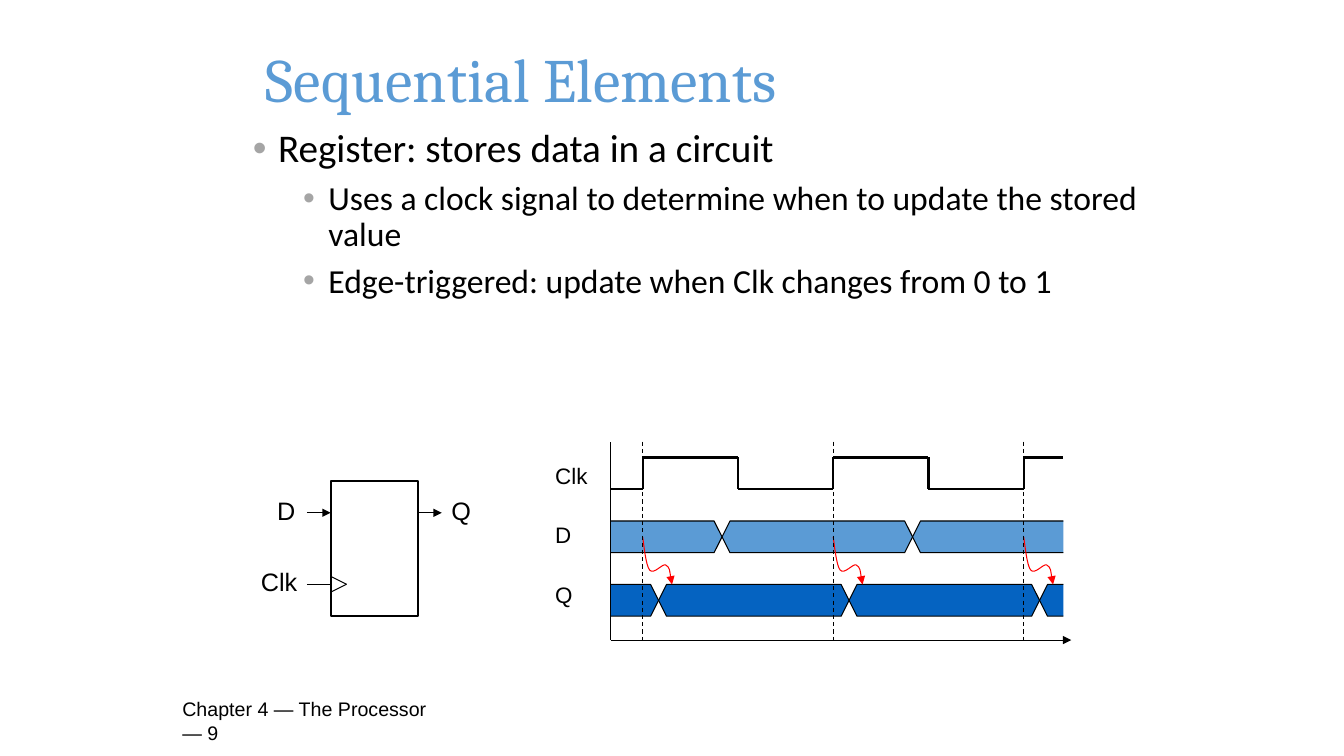
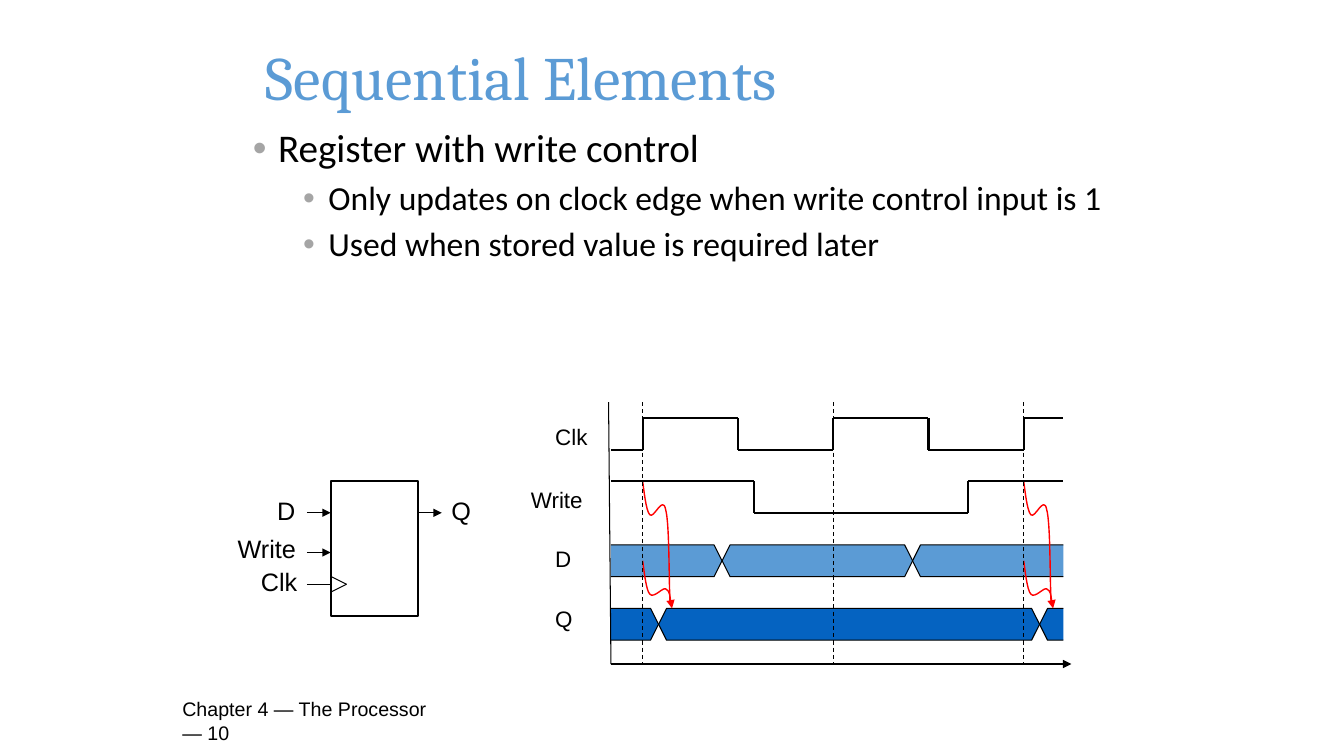
from itertools import pairwise

from lxml.etree import SubElement
from pptx import Presentation
from pptx.dml.color import RGBColor
from pptx.enum.dml import MSO_LINE
from pptx.enum.shapes import MSO_CONNECTOR, MSO_SHAPE
from pptx.enum.text import MSO_ANCHOR, MSO_AUTO_SIZE
from pptx.oxml.ns import qn
from pptx.util import Pt

rgb = RGBColor.from_string

# Shared colours and text formats
BLACK, RED, GREY = "000000", "FF0000", "A5A5A5"
LIGHT_BLUE, DARK_BLUE = "5B9BD5", "0563C1"
TITLE = {"name": "Cambria", "size": Pt(44)}
BODY = [{"name": "Calibri", "size": Pt(28)}, {"name": "Calibri", "size": Pt(24)}]
FOOTER = {"name": "Arial", "size": Pt(14)}
PIN = {"name": "Arial", "size": Pt(18)}
SIGNAL = {"name": "Arial", "size": Pt(16)}

# Drawing grid: one unit in points, with y counted upwards from each origin
U = 5.67
REG_X, REG_Y = 236.2, 440
REG_W, REG_H = 11, 17
CHART_X, END, SWING = 436.4, 57, 4
EDGES = [4, 28, 52]
CLK_TOGGLES = [4, 16, 28, 40, 52]

# Curves as Bezier offsets in grid units, with y counted downwards
BEND = [(0, 0), (0.13, 0.76), (0.4, 3.7), (0.9, 4.2)]
DATA_CURVE = BEND + [(1.4, 4.8), (2.55, 3.3), (2.9, 3.55),
                     (3.45, 3.8), (3.55, 5.45), (3.7, 6)]
WRITE_CURVE = BEND + [(1.4, 4.8), (2.55, 1.65), (2.9, 3.55),
                      (3.4, 5.3), (3.3, 12.8), (3.45, 15.2)]

# Register pins: text, left, top, width
PINS = [("D", 190.8, 350, 27.4), ("Clk", 179.3, 401, 40.3), ("Q", 315.4, 350, 28.8)]
# Signal names: text, left, height above the axis, width
NAMES = [("D", 389.5, 88.6, 26), ("Q", 389.5, 45.4, 27.4)]

SLIDES = [
    {"title_top": 3.6, "number": 9, "axis": 457.2, "top": 25, "lean": 0,
     "body": ["Register: stores data in a circuit",
              "Uses a clock signal to determine when to update the stored value",
              "Edge-triggered: update when Clk changes from 0 to 1"],
     "pins": PINS, "inputs": [13],
     "names": NAMES + [("Clk", 389.5, 130.3, 37.4)],
     "waves": [(19, False, CLK_TOGGLES)],
     "q_changes": [6, 30, 54], "curve_width": 0.75,
     "curves": [(x, 13, DATA_CURVE, True) for x in EDGES]},
    {"title_top": 2.2, "number": 10, "axis": 474.3, "top": 33, "lean": -0.3,
     "body": ["Register with write control",
              "Only updates on clock edge when write control input is 1",
              "Used when stored value is required later"],
     "pins": PINS + [("Write", 162.7, 377.3, 56.2)], "inputs": [13, 8],
     "names": NAMES + [("Clk", 389.5, 175.7, 37.4), ("Write", 372.2, 130.3, 51.8)],
     "waves": [(27, False, CLK_TOGGLES), (19, True, [18, 45])],
     "q_changes": [6, 54], "curve_width": 1,
     "curves": [(x, y, curve, arrow) for x in (EDGES[0], EDGES[-1])
                for y, curve, arrow in ((13, DATA_CURVE, True),
                                        (23, WRITE_CURVE, False))]},
]


def add_text(s, box, lines, formats, color=BLACK, wrap=False, anchor=MSO_ANCHOR.TOP):
    """Text box with one paragraph per line; the formats pair with the lines."""
    tf = s.shapes.add_textbox(*map(Pt, box)).text_frame
    tf.word_wrap = wrap
    if wrap:
        tf.auto_size = MSO_AUTO_SIZE.NONE
    tf.vertical_anchor = anchor
    for i, (line, fmt) in enumerate(zip(lines, formats)):
        p = tf.add_paragraph() if i else tf.paragraphs[0]
        r = p.add_run()
        r.text = line
        r.font.color.rgb = rgb(color)
        for key, value in fmt.items():
            setattr(r.font, key, value)
    return tf


def stroke(sp, width, color=BLACK, arrow=False, dash=None):
    """Outline without shadow, with an optional arrowhead at the end."""
    sp.line.color.rgb = rgb(color)
    sp.line.width = Pt(width)
    if dash:
        sp.line.dash_style = dash
    spPr = sp._element.spPr
    if arrow:
        SubElement(spPr.find(qn("a:ln")), qn("a:tailEnd"), type="triangle")
    SubElement(spPr, qn("a:effectLst"))


prs = Presentation()
prs.slide_width, prs.slide_height = Pt(960), Pt(540)

for page in SLIDES:
    s = prs.slides.add_slide(prs.slide_layouts[6])
    axis, top = page["axis"], page["top"]

    # Title, body and footer
    add_text(s, (182.9, page["title_top"], 711.4, 104.4), ["Sequential Elements"],
             [TITLE], LIGHT_BLUE, True, MSO_ANCHOR.MIDDLE)
    tf = add_text(s, (173.5, 88.6, 651.6, 200), page["body"],
                  [BODY[0], BODY[1], BODY[1]], wrap=True)
    for i, p in enumerate(tf.paragraphs):
        p.level = min(i, 1)
        p.line_spacing = 0.9
        p.space_before = Pt(7.2 if i else 0)
        pPr = p._p.get_or_add_pPr()
        pPr.set("marL", str(Pt(54 if i else 18)))
        pPr.set("indent", str(Pt(-18)))
        SubElement(SubElement(pPr, qn("a:buClr")), qn("a:srgbClr"), val=GREY)
        SubElement(pPr, qn("a:buFont"), typeface="Arial")
        SubElement(pPr, qn("a:buChar"), char="•")
    add_text(s, (123.1, 500.4, 200.9, 28.8),
             [f"Chapter 4 — The Processor — {page['number']}"], [FOOTER],
             wrap=True, anchor=MSO_ANCHOR.MIDDLE)

    # Register box and labels
    sp = s.shapes.add_shape(MSO_SHAPE.RECTANGLE, Pt(REG_X), Pt(REG_Y - REG_H * U),
                            Pt(REG_W * U), Pt(REG_H * U))
    sp.fill.background()
    stroke(sp, 1.5)
    for name, x, y, w in page["pins"]:
        add_text(s, (x, y, w, 28.8), [name], [PIN])
    for name, x, up, w in page["names"]:
        add_text(s, (x, axis - up, w, 26.6), [name], [SIGNAL])

    # Register leads and clock notch: start, end, line format
    thin = {"width": 0.75}
    lead = {"width": 1, "arrow": True}
    reg_lines = [((-3, y), (0, y), lead) for y in page["inputs"]]
    reg_lines += [((REG_W, 13), (REG_W + 3, 13), lead), ((-3, 4), (0, 4), thin),
                  ((0, 5), (2, 4), thin), ((0, 3), (2, 4), thin)]

    # Waveforms and axes
    chart_lines = []
    for low, high, toggles in page["waves"]:
        y = low + SWING * high
        corners = [(0, y)]
        for x in toggles:
            corners.append((x, y))
            y = 2 * low + SWING - y
            corners.append((x, y))
        corners.append((END, y))
        chart_lines += [(a, b, {"width": 1.5}) for a, b in pairwise(corners)]
    chart_lines += [((0, 0), (END + 1, 0), {"width": 0.75, "arrow": True}),
                    ((0, 0), (page["lean"], top), thin)]

    # Data bands, split where the value changes
    for base, changes, color in ((11, [14, 38], LIGHT_BLUE),
                                 (3, page["q_changes"], DARK_BLUE)):
        mid, high = base + SWING / 2, base + SWING
        for a, b in pairwise([0, *changes, END]):
            left = [(a + 1, base), (a, mid), (a + 1, high)]
            right = [(b - 1, high), (b, mid), (b - 1, base)]
            if a == 0:
                pts = [(0, high), *right, (0, base)]
            elif b == END:
                pts = [(END, base), *left, (END, high)]
            else:
                pts = left + right
            pts = [(Pt(CHART_X + x * U), Pt(axis - y * U)) for x, y in pts]
            fb = s.shapes.build_freeform(*pts[0])
            fb.add_line_segments(pts[1:], close=a > 0 and b < END)
            sp = fb.convert_to_shape()
            sp.fill.solid()
            sp.fill.fore_color.rgb = rgb(color)
            stroke(sp, 0.75)

    # Red curves: each three points after the start form one Bezier segment
    for x0, y0, curve, arrow in page["curves"]:
        pts = [(Pt(CHART_X + (x0 + dx) * U), Pt(axis - (y0 - dy) * U))
               for dx, dy in curve]
        fb = s.shapes.build_freeform(*pts[0])
        fb.add_line_segments(pts[1:], close=False)
        sp = fb.convert_to_shape()
        outline = next(sp._element.iter(qn("a:path")))
        segments = outline.findall(qn("a:lnTo"))
        for i in range(0, len(segments), 3):
            bezier = SubElement(outline, qn("a:cubicBezTo"))
            for segment in segments[i:i + 3]:
                bezier.append(segment[0])
                outline.remove(segment)
        sp.fill.background()
        stroke(sp, page["curve_width"], RED, arrow)

    # All straight lines, with the dashed clock edges last
    chart_lines += [((x, top), (x, 0), {"width": 0.75, "dash": MSO_LINE.DASH})
                    for x in EDGES]
    for ox, oy, lines in ((REG_X, REG_Y, reg_lines), (CHART_X, axis, chart_lines)):
        for (x1, y1), (x2, y2), fmt in lines:
            cn = s.shapes.add_connector(
                MSO_CONNECTOR.STRAIGHT, Pt(ox + x1 * U), Pt(oy - y1 * U),
                Pt(ox + x2 * U), Pt(oy - y2 * U))
            stroke(cn, **fmt)

prs.save("out.pptx")
